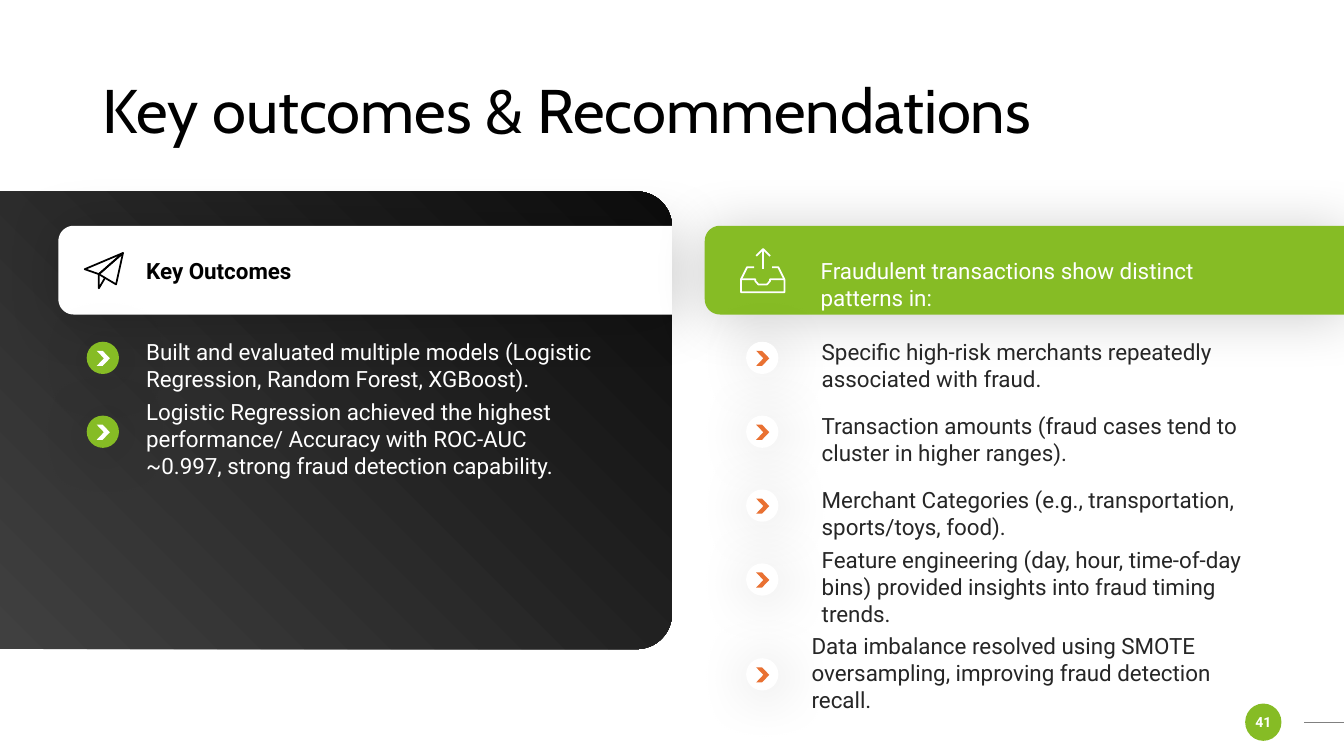
from collections import namedtuple
from math import cos, pi, sin

from lxml.etree import SubElement
from pptx import Presentation
from pptx.dml.color import RGBColor
from pptx.enum.shapes import MSO_CONNECTOR, MSO_SHAPE
from pptx.enum.text import MSO_ANCHOR, PP_ALIGN
from pptx.oxml.ns import qn
from pptx.util import Inches, Pt

Box = namedtuple("Box", "left top width height")
WIDTH, HEIGHT = 13.33, 7.5
GREEN, ORANGE, WHITE, BLACK, INK = "86BC25", "E97132", "FFFFFF", "000000", "262626"
ROW_STEP = 0.733
DOT = 0.32

LEFT_ITEMS = [
    "Built and evaluated multiple models (Logistic Regression, Random Forest, XGBoost).",
    "Logistic Regression achieved the highest performance/ Accuracy with ROC-AUC ~0.997, "
    "strong fraud detection capability.",
]
RIGHT_ITEMS = [
    "Specific high-risk merchants repeatedly associated with fraud.",
    "Transaction amounts (fraud cases tend to cluster in higher ranges).",
    "Merchant Categories (e.g., transportation, sports/toys, food).",
    "Feature engineering (day, hour, time-of-day bins) provided insights into fraud timing trends.",
]
LAST_ITEM = "Data imbalance resolved using SMOTE oversampling, improving fraud detection recall."

PLANE = [
    ([(1, 0), (0, 0.46), (0.37, 0.6)], True),
    ([(1, 0), (0.82, 0.89), (0.37, 0.6)], True),
    ([(0.37, 0.6), (0.37, 1), (0.53, 0.71)], False),
]
TRAY = [
    ([(0, 0.7), (0.33, 0.7), (0.33, 0.74), (0.4, 0.82), (0.6, 0.82),
      (0.67, 0.74), (0.67, 0.7), (1, 0.7), (1, 1), (0, 1)], True),
    ([(0, 0.7), (0.14, 0.42), (0.3, 0.42)], False),
    ([(0.72, 0.42), (0.86, 0.42), (1, 0.7)], False),
    ([(0.51, 0), (0.51, 0.47)], False),
    ([(0.35, 0.16), (0.51, 0), (0.67, 0.16)], False),
]


def color(value):
    """Return the colour of a hex string."""
    return RGBColor.from_string(value)


def emu(box):
    """Return a box of inches as lengths."""
    return [Inches(length) for length in box]


def paint(shape, fill, shadow=False):
    """Fill a shape without outline, with a soft shadow if wanted."""
    shape.fill.solid()
    shape.fill.fore_color.rgb = color(fill)
    shape.line.fill.background()
    shape.shadow.inherit = False
    if shadow:
        effects = shape._element.spPr.find(qn("a:effectLst"))
        outer = SubElement(effects, qn("a:outerShdw"), blurRad=str(Pt(40)), dist=str(Pt(3)),
                           dir="2700000", algn="tl", rotWithShape="0")
        tone = SubElement(outer, qn("a:srgbClr"), val=BLACK)
        SubElement(tone, qn("a:alpha"), val="20000")


def add_text(shapes, box, text, size, tone, font="Roboto", bold=False, anchor=MSO_ANCHOR.MIDDLE):
    """Add a wrapping text box without margins and return its paragraph."""
    frame = shapes.add_textbox(*emu(box)).text_frame
    frame.word_wrap = True
    frame.margin_left = frame.margin_right = frame.margin_top = frame.margin_bottom = 0
    frame.vertical_anchor = anchor
    frame.text = text
    paragraph = frame.paragraphs[0]
    style(paragraph, size, tone, font, bold)
    return paragraph


def style(paragraph, size, tone, font="Roboto", bold=False):
    """Format every run of a paragraph."""
    for run in paragraph.runs:
        run.font.size, run.font.name, run.font.bold = Pt(size), font, bold
        run.font.color.rgb = color(tone)


def add_outline(shapes, points, close=True):
    """Add a freeform through points given in inches."""
    corners = [(Inches(x), Inches(y)) for x, y in points]
    builder = shapes.build_freeform(*corners[0])
    builder.add_line_segments(corners[1:], close=close)
    return builder.convert_to_shape()


def add_line(shapes, start, end, tone, weight):
    """Add a straight connector between two points in inches."""
    line = shapes.add_connector(MSO_CONNECTOR.STRAIGHT, *emu(start), *emu(end))
    line.line.color.rgb = color(tone)
    line.line.width = Pt(weight)
    SubElement(line._element.spPr, qn("a:effectLst"))


def add_side_rounded(shapes, box, radius, side):
    """Add a rectangle with the two corners of one side rounded."""
    right, bottom = box.left + box.width, box.top + box.height
    center = right - radius if side == "right" else box.left + radius
    sign = 1 if side == "right" else -1
    angles = [pi / 2 * step / 16 for step in range(17)]
    upper = [(center + sign * radius * sin(a), box.top + radius * (1 - cos(a))) for a in angles]
    lower = [(x, box.top + bottom - y) for x, y in reversed(upper)]
    flat = box.left if side == "right" else right
    return add_outline(shapes, [(flat, box.top), *upper, *lower, (flat, bottom)])


def add_icon(slide, box, strokes, tone):
    """Draw a line icon from strokes given as shares of its box."""
    shapes = slide.shapes.add_group_shape().shapes
    for stroke, close in strokes:
        points = [(box.left + x * box.width, box.top + y * box.height) for x, y in stroke]
        if len(points) == 2:
            add_line(shapes, *points, tone, 1.25)
            continue
        shape = add_outline(shapes, points, close)
        shape.fill.background()
        shape.line.color.rgb = color(tone)
        shape.line.width = Pt(1.25)
        shape.shadow.inherit = False


def add_header(slide, box, fill, text, text_box, tone, bold=False):
    """Add a header card whose text is placed relative to it."""
    paint(add_side_rounded(slide.shapes, box, 0.15, "left"), fill, shadow=True)
    place = text_box._replace(left=box.left + text_box.left, top=box.top + text_box.top)
    add_text(slide.shapes, place, text, 16, tone, bold=bold, anchor=MSO_ANCHOR.TOP)


def add_bullet(slide, box, text, tone, dot_fill, arrow_fill, indent, drop=0.07):
    """Add an arrow dot at the box's left and a text centred on its row."""
    shapes = slide.shapes.add_group_shape().shapes
    middle = box.top + DOT / 2
    dot = shapes.add_shape(MSO_SHAPE.OVAL, *emu((box.left, box.top, DOT, DOT)))
    paint(dot, dot_fill, shadow=True)
    arrow = shapes.add_shape(MSO_SHAPE.CHEVRON, *emu((box.left + 0.1, middle - 0.07, 0.13, 0.15)))
    arrow.adjustments[0] = 0.55
    paint(arrow, arrow_fill)
    place = Box(box.left + indent, middle + drop - box.height / 2, box.width, box.height)
    return add_text(slide.shapes, place, text, 16, tone)


def add_outcomes(slide, box):
    """Add the dark panel with its header and bullets."""
    panel = add_side_rounded(slide.shapes, box, 0.35, "right")
    paint(panel, BLACK)
    panel.fill.gradient()
    panel.fill.gradient_angle = 45
    for stop, tone in zip(panel.fill.gradient_stops, ("404040", "0D0D0D")):
        stop.color.rgb = color(tone)
    card = Box(box.left + 0.58, box.top + 0.34, box.width - 0.58, 0.88)
    add_header(slide, card, WHITE, "Key Outcomes", Box(0.87, 0.31, 3.15, 0.27), BLACK, bold=True)
    add_icon(slide, Box(card.left + 0.26, card.top + 0.27, 0.38, 0.35), PLANE, BLACK)
    for row, item in enumerate(LEFT_ITEMS):
        place = Box(card.left + 0.28, card.top + 1.15 + row * ROW_STEP, 4.57, 0.54)
        add_bullet(slide, place, item, WHITE, GREEN, WHITE, 0.59)


def add_patterns(slide, box):
    """Add the green header with the fraud patterns below it."""
    card = box._replace(height=0.88)
    add_header(slide, card, GREEN, "Fraudulent transactions show distinct patterns in:",
               Box(1.15, 0.31, 3.9, 0.54), WHITE)
    first = Box(box.left + 0.41, box.top + 1.15, 4.49, 0.54)
    for row, item in enumerate(RIGHT_ITEMS):
        add_bullet(slide, first._replace(top=first.top + row * ROW_STEP), item,
                   INK, WHITE, ORANGE, 0.75)
    last = Box(first.left, box.top + box.height - DOT, 4.57, 0.81)
    add_bullet(slide, last, LAST_ITEM, INK, WHITE, ORANGE, 0.65, drop=-0.02)
    add_icon(slide, Box(box.left + 0.36, box.top + 0.23, 0.43, 0.43), TRAY, WHITE)


def add_page_number(slide, box, number):
    """Add the page number disc and the rule running to the slide's edge."""
    disc = slide.shapes.add_shape(MSO_SHAPE.OVAL, *emu(box))
    paint(disc, GREEN)
    frame = disc.text_frame
    frame.margin_left = frame.margin_right = frame.margin_top = frame.margin_bottom = 0
    frame.vertical_anchor = MSO_ANCHOR.MIDDLE
    frame.text = number
    frame.paragraphs[0].alignment = PP_ALIGN.CENTER
    style(frame.paragraphs[0], 10, WHITE, bold=True)
    middle = box.top + box.height / 2
    add_line(slide.shapes, (WIDTH, middle), (WIDTH - 0.4, middle), "808080", 1)


def main():
    """Build the slide and save it."""
    presentation = Presentation()
    presentation.slide_width, presentation.slide_height = Inches(WIDTH), Inches(HEIGHT)
    slide = presentation.slides.add_slide(presentation.slide_layouts[6])
    add_page_number(slide, Box(12.35, 6.98, 0.36, 0.37), "41")
    title = add_text(slide.shapes, Box(1.02, 0.45, 11.3, 1.35),
                     "Key outcomes & Recommendations", 44, BLACK, "Cabin")
    title.line_spacing = 0.9
    add_outcomes(slide, Box(0, 1.9, WIDTH / 2, 4.54))
    add_patterns(slide, Box(6.99, 2.24, WIDTH - 6.99, 4.61))
    presentation.save("out.pptx")


if __name__ == "__main__":
    main()
